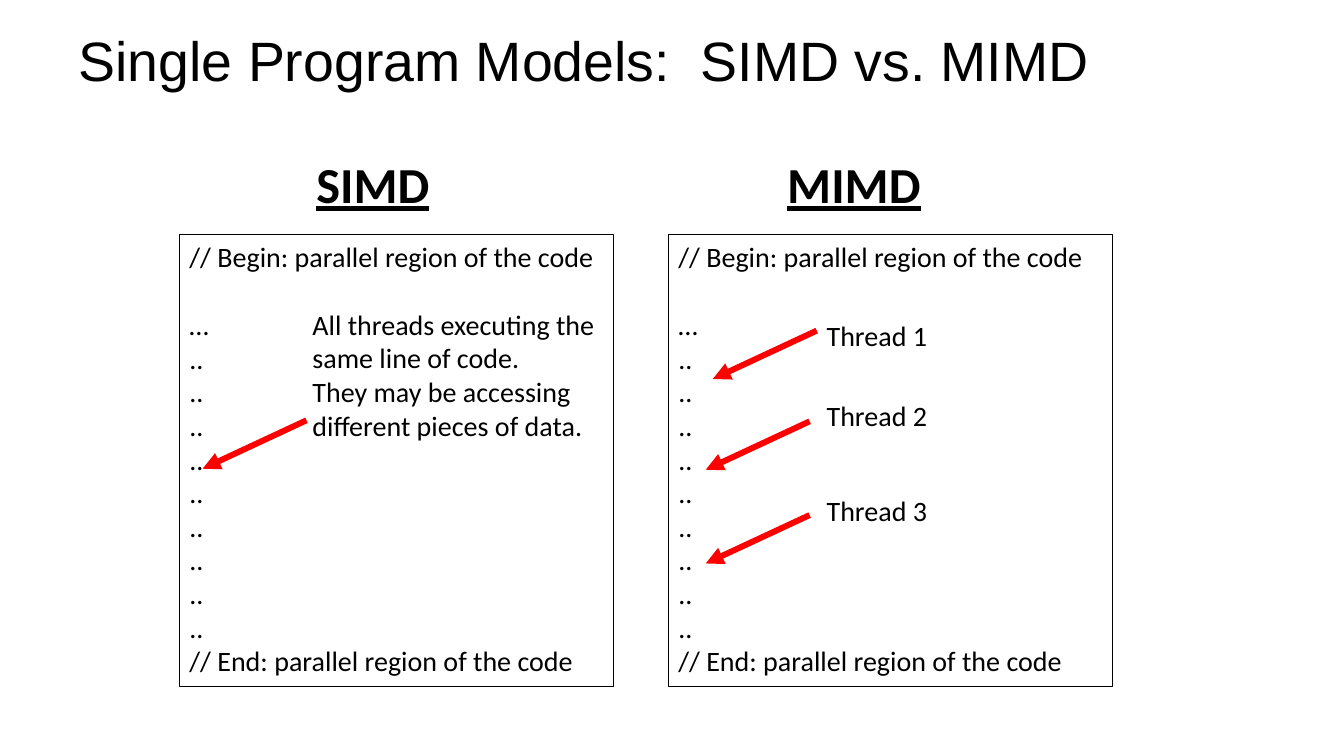
from lxml.etree import SubElement
from pptx import Presentation
from pptx.dml.color import RGBColor
from pptx.enum.shapes import MSO_CONNECTOR as Connector, MSO_SHAPE as Shape
from pptx.enum.text import MSO_ANCHOR as Anchor, MSO_AUTO_SIZE as AutoSize, PP_ALIGN as Align
from pptx.oxml.ns import qn
from pptx.util import Inches, Pt

BLACK, RED = "000000", "FF0000"
BODY = {"name": "Calibri", "size": Pt(20)}
HEADING = {"name": "Calibri", "size": Pt(36), "bold": True, "underline": True}
TITLE = {"name": "Arial", "size": Pt(39.6)}
CODE = ["// Begin: parallel region of the code", "…", *[".."] * 9,
        "// End: parallel region of the code"]
BLANK_LINE = Pt(24.4)
ARROW_RUN, ARROW_DROP = 1.03, 0.48


def color(value):
    return RGBColor.from_string(value)


def write(frame, lines, style):
    frame.text = "\n".join(lines)
    for paragraph in frame.paragraphs:
        paragraph.alignment = Align.LEFT
        for key, value in style.items():
            setattr(paragraph.font, key, value)
        paragraph.font.color.rgb = color(BLACK)


def add_label(slide, left, top, width, height, lines, style):
    label = slide.shapes.add_textbox(Inches(left), Inches(top), Inches(width), Inches(height))
    label.text_frame.word_wrap = False
    write(label.text_frame, lines, style)


def add_arrow(slide, left, top):
    arrow = slide.shapes.add_connector(
        Connector.STRAIGHT, Inches(left), Inches(top),
        Inches(left - ARROW_RUN), Inches(top + ARROW_DROP))
    arrow.line.color.rgb = color(RED)
    arrow.line.width = Pt(4.25)
    SubElement(arrow.line._get_or_add_ln(), qn("a:tailEnd"), type="triangle")
    SubElement(arrow._element.spPr, qn("a:effectLst"))


def add_code_panel(slide, left, top, width, height, heading, heading_offset, heading_width):
    add_label(slide, left + heading_offset, top - 0.865, heading_width, 0.71, [heading], HEADING)
    panel = slide.shapes.add_shape(
        Shape.RECTANGLE, Inches(left), Inches(top), Inches(width), Inches(height))
    panel.shadow.inherit = False
    panel.fill.background()
    panel.line.color.rgb = color(BLACK)
    panel.line.width = Pt(0.75)
    frame = panel.text_frame
    frame.word_wrap = True
    frame.vertical_anchor = Anchor.TOP
    write(frame, CODE, BODY)
    frame.paragraphs[1].space_before = BLANK_LINE


def add_simd(slide, left, top, width, height):
    add_code_panel(slide, left, top, width, height, "SIMD", 1.26, 1.34)
    add_arrow(slide, left + 1.26, top + 1.84)
    explanation = ["All threads executing the", "same line of code.",
                   "They may be accessing", "different pieces of data."]
    add_label(slide, left + 1.22, top + 0.67, 3.09, 1.45, explanation, BODY)


def add_mimd(slide, left, top, width, height):
    add_code_panel(slide, left, top, width, height, "MIMD", 1.08, 1.54)
    threads = [(1.47, 0.95, 0.78), (1.4, 1.85, 1.57), (1.4, 2.78, 2.52)]
    for number, (arrow_left, arrow_top, label_top) in enumerate(threads, 1):
        add_arrow(slide, left + arrow_left, top + arrow_top)
        add_label(slide, left + 1.47, top + label_top, 1.21, 0.44, [f"Thread {number}"], BODY)


def add_title(slide, left, top, width, height):
    title = slide.shapes.title
    title.left, title.top = Inches(left), Inches(top)
    title.width, title.height = Inches(width), Inches(height)
    frame = title.text_frame
    frame.auto_size = AutoSize.NONE
    frame.vertical_anchor = Anchor.MIDDLE
    write(frame, ["Single Program Models:  SIMD vs. MIMD"], TITLE)
    frame.paragraphs[0].line_spacing = 0.9


def main():
    deck = Presentation()
    deck.slide_width, deck.slide_height = Inches(13.33), Inches(7.5)
    slide = deck.slides.add_slide(deck.slide_layouts[5])
    add_title(slide, 0.68, 0.25, 10.35, 0.77)
    add_simd(slide, 1.78, 2.33, 4.31, 4.48)
    add_mimd(slide, 6.63, 2.33, 4.4, 4.48)
    deck.save("out.pptx")


if __name__ == "__main__":
    main()
